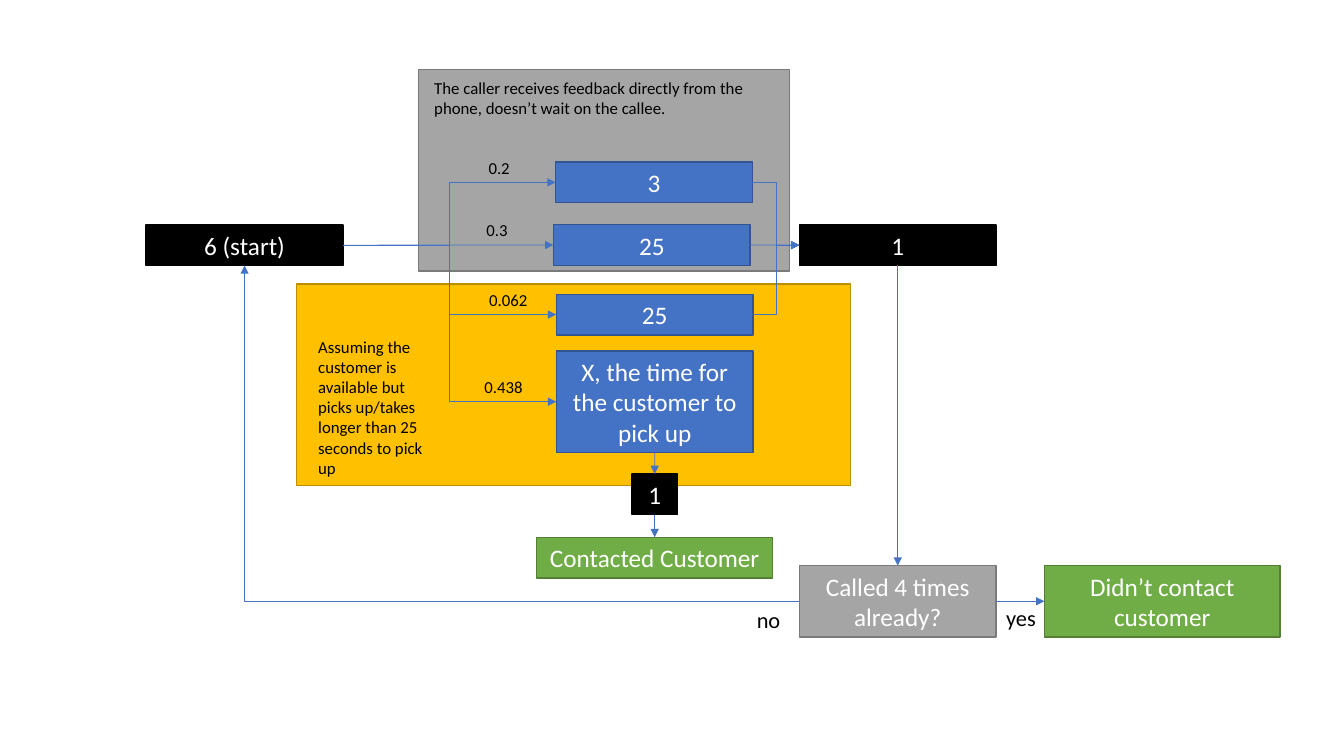
from lxml import etree
from pptx import Presentation
from pptx.dml.color import RGBColor
from pptx.enum.shapes import MSO_CONNECTOR, MSO_SHAPE
from pptx.enum.text import MSO_ANCHOR, PP_ALIGN
from pptx.oxml.ns import qn
from pptx.util import Pt

RECTANGLE = MSO_SHAPE.RECTANGLE
STRAIGHT, ELBOW = MSO_CONNECTOR.STRAIGHT, MSO_CONNECTOR.ELBOW
CENTER, LEFT_ALIGN = PP_ALIGN.CENTER, PP_ALIGN.LEFT
MIDDLE, TOP_ANCHOR = MSO_ANCHOR.MIDDLE, MSO_ANCHOR.TOP
TOP, LEFT, BOTTOM, RIGHT = range(4)  # connection sites of a rectangle

COLORS = {
    "black": "000000", "black_edge": "000000",
    "gray": "A5A5A5", "gray_edge": "7A7A7A",
    "gold": "FFC000", "gold_edge": "BD8E00",
    "blue": "4472C4", "blue_edge": "325491",
    "green": "70AD47", "green_edge": "538035",
    "white": "FFFFFF",
}
FONT = "Calibri"
STEP_WIDTH, STEP_HEIGHT = 140.6, 29
OUTCOME_WIDTH, DECISION_HEIGHT = 168.5, 51


def color(name):
    return RGBColor.from_string(COLORS[name])


def write(holder, text, size, ink, align, anchor):
    frame = holder.text_frame
    frame.word_wrap = True
    frame.vertical_anchor = anchor
    paragraph = frame.paragraphs[0]
    paragraph.text = text
    paragraph.alignment = align
    paragraph.font.name = FONT
    paragraph.font.size = Pt(size)
    paragraph.font.color.rgb = color(ink)


def add_box(slide, fill, left, top, width, height, text=""):
    box = slide.shapes.add_shape(RECTANGLE, Pt(left), Pt(top), Pt(width), Pt(height))
    box.shadow.inherit = False
    box.fill.solid()
    box.fill.fore_color.rgb = color(fill)
    box.line.color.rgb = color(fill + "_edge")
    box.line.width = Pt(1)
    if text:
        write(box, text, 18, "white", CENTER, MIDDLE)
    return box


def add_note(slide, text, left, top, width, height, size=12):
    note = slide.shapes.add_textbox(Pt(left), Pt(top), Pt(width), Pt(height))
    write(note, text, size, "black", LEFT_ALIGN, TOP_ANCHOR)


def add_arrow(slide, source, source_site, target, target_site, kind=STRAIGHT):
    """Glue an arrow between connection sites of two boxes."""
    arrow = slide.shapes.add_connector(kind, 0, 0, 0, 0)
    arrow.begin_connect(source, source_site)
    arrow.end_connect(target, target_site)
    arrow.line.color.rgb = color("blue")
    arrow.line.width = Pt(0.5)
    etree.SubElement(arrow.line._get_or_add_ln(), qn("a:tailEnd"), type="triangle")
    etree.SubElement(arrow._element.spPr, qn("a:effectLst"))
    return arrow


def add_call_result(slide, seconds, chance, left, top, height=STEP_HEIGHT, label_shift=-55):
    """Add a timed call result with its probability above the incoming arrow."""
    add_note(slide, chance, left + label_shift, top + height / 2 - 21.5, 72, 21.8)
    return add_box(slide, "blue", left, top, STEP_WIDTH, height, seconds)


def add_phone_feedback(slide, left, top, width, height):
    add_box(slide, "gray", left, top, width, height)
    add_note(slide, "The caller receives feedback directly from the phone, "
             "doesn’t wait on the callee.", left + 4.2, top + 2.3, 249, 36.4)
    busy = add_call_result(slide, "3", "0.2", left + 98, top + 66.2)
    unavailable = add_call_result(slide, "25", "0.3", left + 96.4, top + 110.9)
    return busy, unavailable


def add_customer_available(slide, left, top, width, height):
    add_box(slide, "gold", left, top, width, height)
    add_note(slide, "Assuming the customer is available but picks up/takes longer "
             "than 25 seconds to pick up", left + 8.5, top + 33.8, 94.3, 109)
    too_slow = add_call_result(slide, "25", "0.062", left + 185.7, top + 7.2)
    picks_up = add_call_result(slide, "X, the time for the customer to pick up", "0.438",
                               left + 185.7, top + 47.6, 72.7, label_shift=-58.5)
    return too_slow, picks_up


def add_contact(slide, picks_up, left, top, width):
    """Add the successful ending below the pick-up step."""
    end_width = 32.4
    end_call = add_box(slide, "black", left + (width - end_width) / 2, top,
                       end_width, STEP_HEIGHT, "1")
    contacted = add_box(slide, "green", left, top + 45.2, width, STEP_HEIGHT,
                        "Contacted Customer")
    add_arrow(slide, picks_up, BOTTOM, end_call, TOP)
    add_arrow(slide, end_call, BOTTOM, contacted, TOP)


def add_retry_decision(slide, start, hang_up, left, top):
    decision = add_box(slide, "gray", left, top, STEP_WIDTH, DECISION_HEIGHT,
                       "Called 4 times already?")
    not_contacted = add_box(slide, "green", left + 175, top, OUTCOME_WIDTH,
                            DECISION_HEIGHT, "Didn’t contact customer")
    add_note(slide, "yes", left + STEP_WIDTH, top + 23.8, 48.3, 26.6, 16)
    add_note(slide, "no", left - 37.5, top + 25.3, 48.3, 26.6, 16)
    add_arrow(slide, hang_up, BOTTOM, decision, TOP)
    add_arrow(slide, decision, RIGHT, not_contacted, LEFT)
    retry = add_arrow(slide, decision, LEFT, start, BOTTOM, ELBOW)
    retry._element.spPr.find(qn("a:prstGeom")).set("prst", "bentConnector2")


def add_call_flow(slide, left, top):
    """Place the whole flow relative to the top left corner of the start box."""
    phone_results = add_phone_feedback(slide, left + 194.5, top - 111, 265, 144)
    customer_results = add_customer_available(slide, left + 107.3, top + 42.4, 396, 144)
    busy, unavailable = phone_results
    too_slow, picks_up = customer_results
    start = add_box(slide, "black", left, top, STEP_WIDTH, STEP_HEIGHT, "6 (start)")
    hang_up = add_box(slide, "black", left + 466.6, top, STEP_WIDTH, STEP_HEIGHT, "1")

    for result in phone_results + customer_results:
        kind = STRAIGHT if result is unavailable else ELBOW
        add_arrow(slide, start, RIGHT, result, LEFT, kind)
        if result is not picks_up:
            add_arrow(slide, result, RIGHT, hang_up, LEFT, kind)
    add_contact(slide, picks_up, left + 279, top + 178, OUTCOME_WIDTH)
    add_retry_decision(slide, start, hang_up, left + 466.6, top + 243.4)


def main():
    presentation = Presentation()
    presentation.slide_width, presentation.slide_height = Pt(960), Pt(540)
    slide = presentation.slides.add_slide(presentation.slide_layouts[6])
    add_call_flow(slide, 104.4, 160.6)
    presentation.save("out.pptx")


if __name__ == "__main__":
    main()
